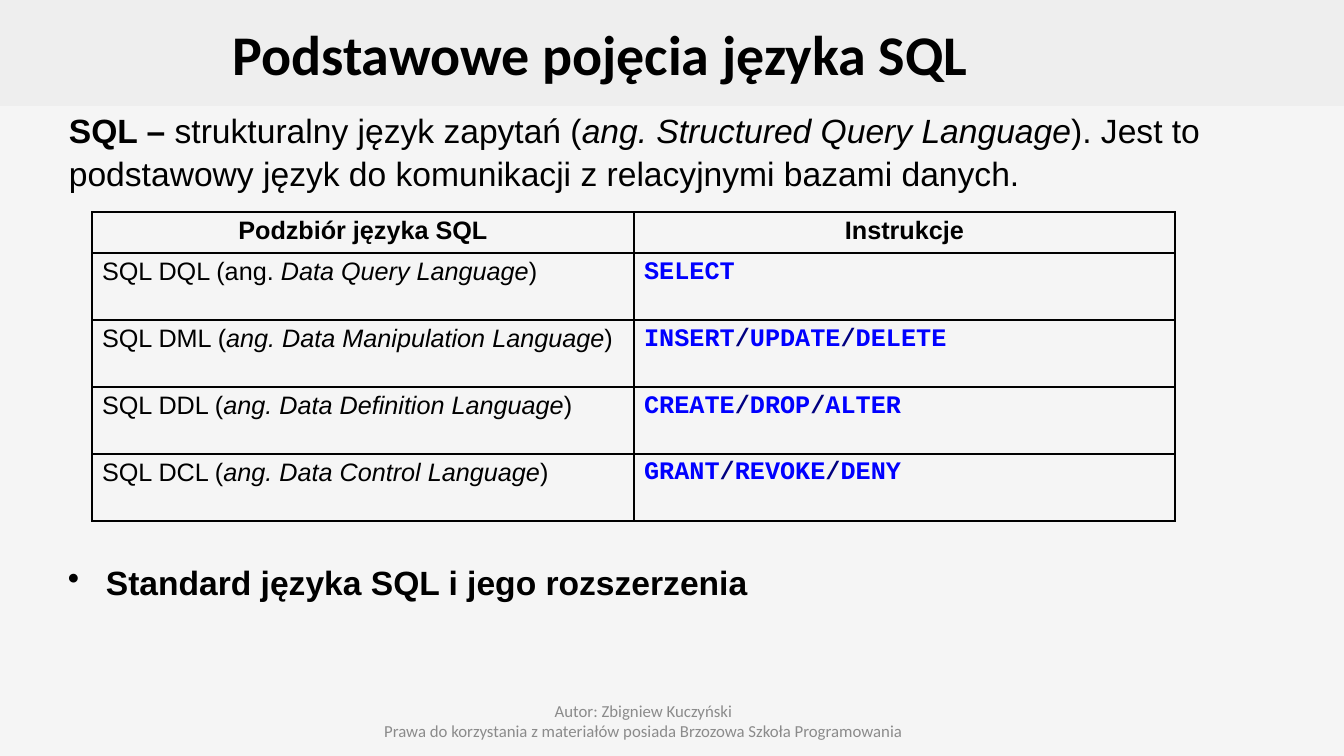
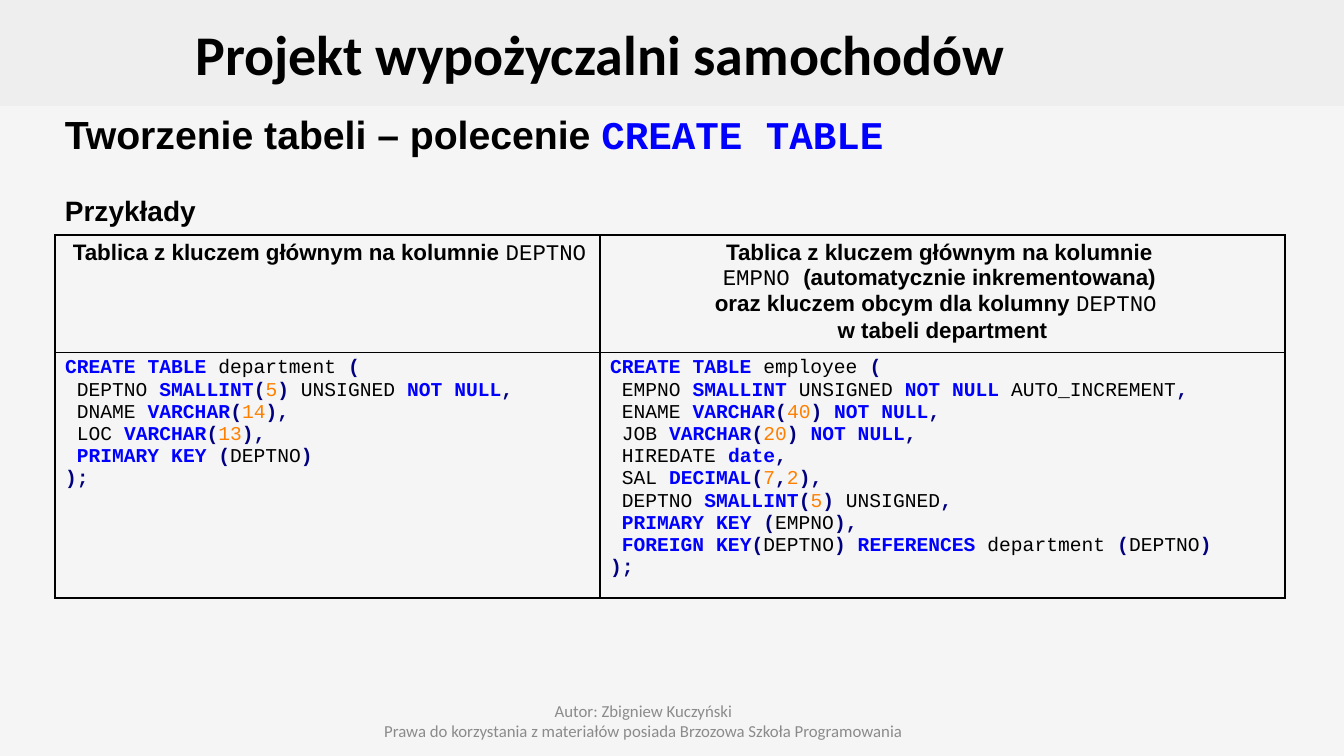
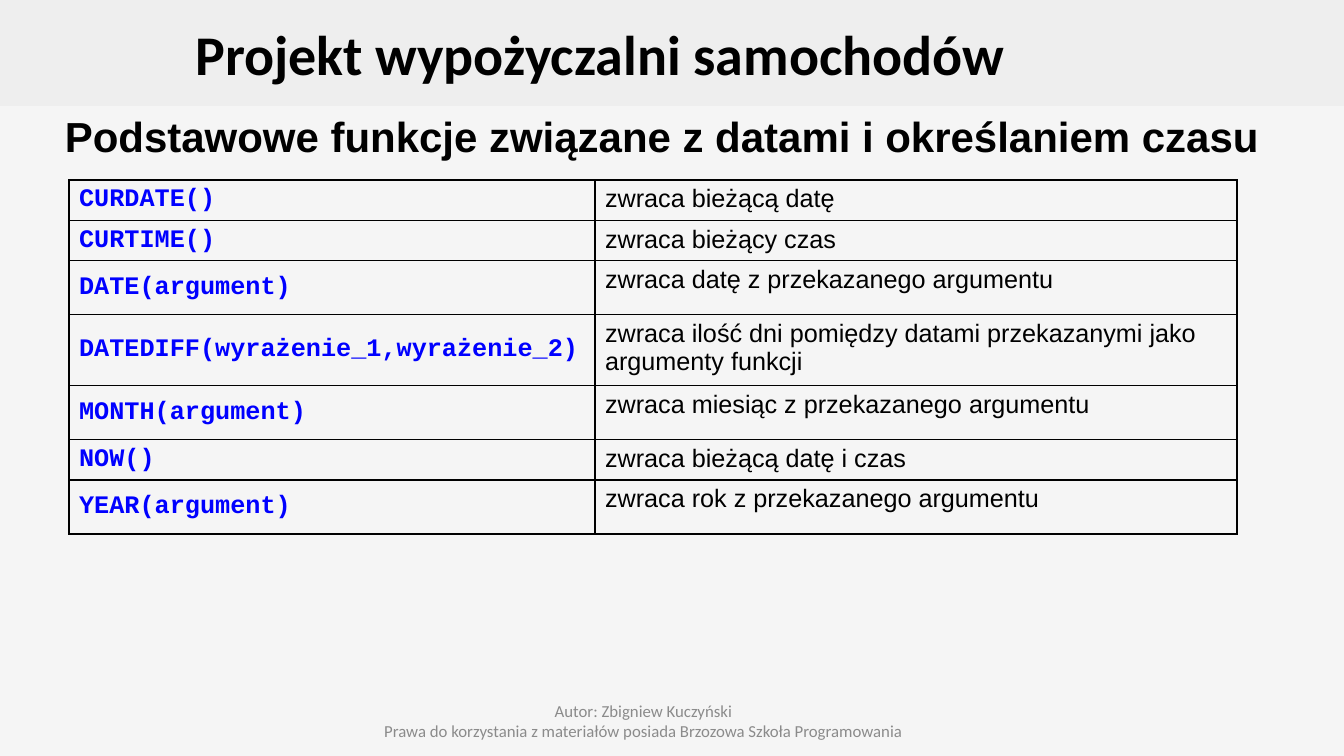
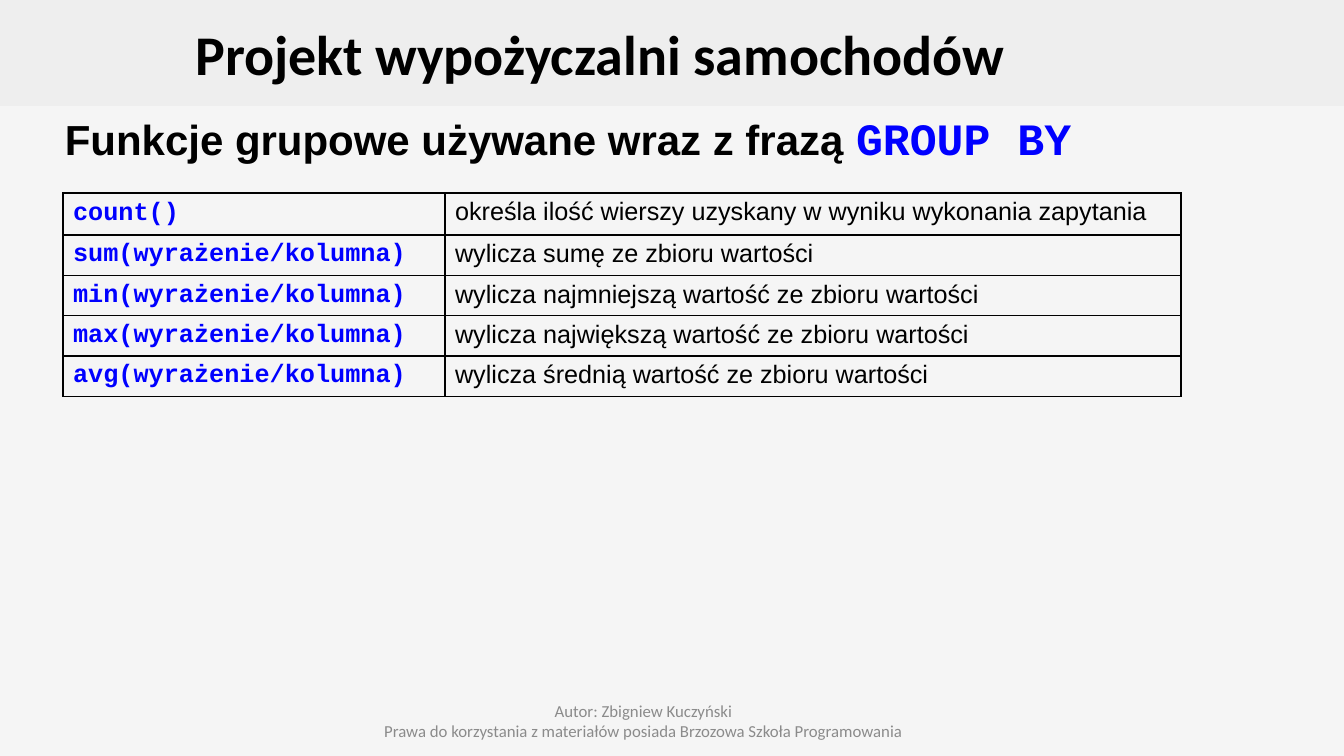
from itertools import groupby

from lxml.etree import SubElement
from pptx import Presentation
from pptx.dml.color import RGBColor
from pptx.enum.shapes import MSO_SHAPE
from pptx.enum.text import MSO_ANCHOR, MSO_AUTO_SIZE, PP_ALIGN
from pptx.oxml.ns import qn
from pptx.util import Emu, Pt

# Shared style
PAGE = RGBColor(0xF5, 0xF5, 0xF5)
BAND = RGBColor(0xEE, 0xEE, 0xEE)
BLACK = RGBColor(0, 0, 0)
GREY = RGBColor(0x8B, 0x8B, 0x8B)
BLUE = RGBColor(0, 0, 0xFF)
NAVY = RGBColor(0, 0, 0x80)
ORANGE = RGBColor(0xFF, 0x80, 0)
CENTER, MIDDLE = PP_ALIGN.CENTER, MSO_ANCHOR.MIDDLE

WIDTH, HEIGHT, BAND_HEIGHT = 1344, 756, 106
BODY_LEFT, BODY_TOP, BODY_WIDTH = 55, 103, 1240
BODY_SPACING = 1.06

MONO = "Courier New"
BOLD = {"bold": True}
ITALIC = {"italic": True}
CODE = {"font": MONO, "color": BLUE, "bold": True}
COLUMN_NAME = {"font": MONO, "bold": False}
HEADING = {"size": 30, "bold": True, "line_spacing": BODY_SPACING}

# Content
FOOTER = ["Autor: Zbigniew Kuczyński",
          "Prawa do korzystania z materiałów posiada Brzozowa Szkoła Programowania"]
SQL_TITLE = "Podstawowe pojęcia języka SQL"
PROJECT_TITLE = "Projekt wypożyczalni samochodów"

SQL_INTRO = [("SQL –", BOLD), " strukturalny język zapytań (",
             ("ang. Structured Query Language", ITALIC),
             "). Jest to podstawowy język do komunikacji z relacyjnymi bazami danych."]
SQL_STANDARD = "Standard języka SQL i jego rozszerzenia"
SUBSET_HEADER = ["Podzbiór języka SQL", "Instrukcje"]
SUBSETS = [
    ("SQL DQL (ang. ", "Data Query Language", "SELECT"),
    ("SQL DML (", "ang. Data Manipulation Language", "INSERT/UPDATE/DELETE"),
    ("SQL DDL (", "ang. Data Definition Language", "CREATE/DROP/ALTER"),
    ("SQL DCL (", "ang. Data Control Language", "GRANT/REVOKE/DENY"),
]

CREATE_HEADING = ["Tworzenie tabeli – polecenie ", ("CREATE TABLE", CODE)]
EXAMPLES = "Przykłady"
DEPARTMENT_HEADER = [["Tablica z kluczem głównym na kolumnie ", ("DEPTNO", COLUMN_NAME)]]
EMPLOYEE_HEADER = [
    "Tablica z kluczem głównym na kolumnie ",
    [("EMPNO ", COLUMN_NAME), "(automatycznie inkrementowana) "],
    ["oraz kluczem obcym dla kolumny ", ("DEPTNO ", COLUMN_NAME)],
    "w tabeli department",
]
DEPARTMENT_SQL = """CREATE TABLE department (
 DEPTNO SMALLINT(5) UNSIGNED NOT NULL,
 DNAME VARCHAR(14),
 LOC VARCHAR(13),
 PRIMARY KEY (DEPTNO)
);"""
EMPLOYEE_SQL = """CREATE TABLE employee (
 EMPNO SMALLINT UNSIGNED NOT NULL AUTO_INCREMENT,
 ENAME VARCHAR(40) NOT NULL,
 JOB VARCHAR(20) NOT NULL,
 HIREDATE date,
 SAL DECIMAL(7,2),
 DEPTNO SMALLINT(5) UNSIGNED,
 PRIMARY KEY (EMPNO),
 FOREIGN KEY(DEPTNO) REFERENCES department (DEPTNO)
);"""
KEYWORDS = set("""SELECT INSERT UPDATE DELETE CREATE DROP ALTER GRANT REVOKE DENY TABLE
    SMALLINT VARCHAR DECIMAL date NOT NULL PRIMARY FOREIGN KEY REFERENCES""".split())

DATE_HEADING = "Podstawowe funkcje związane z datami i określaniem czasu"
DATE_FUNCTIONS = [
    ("CURDATE()", "zwraca bieżącą datę"),
    ("CURTIME()", "zwraca bieżący czas"),
    ("DATE(argument)", "zwraca datę z przekazanego argumentu"),
    ("DATEDIFF(wyrażenie_1,wyrażenie_2)",
     "zwraca ilość dni pomiędzy datami przekazanymi jako argumenty funkcji"),
    ("MONTH(argument)", "zwraca miesiąc z przekazanego argumentu"),
    ("NOW()", "zwraca bieżącą datę i czas"),
    ("YEAR(argument)", "zwraca rok z przekazanego argumentu"),
]

GROUP_HEADING = ["Funkcje grupowe używane wraz z frazą ", ("GROUP BY", {**CODE, "size": 32})]
GROUP_FUNCTIONS = [
    ("count()", "określa ilość wierszy uzyskany w wyniku wykonania zapytania"),
    ("sum(wyrażenie/kolumna)", "wylicza sumę ze zbioru wartości"),
    ("min(wyrażenie/kolumna)", "wylicza najmniejszą wartość ze zbioru wartości"),
    ("max(wyrażenie/kolumna)", "wylicza największą wartość ze zbioru wartości"),
    ("avg(wyrażenie/kolumna)", "wylicza średnią wartość ze zbioru wartości"),
]


def px(length):
    return Emu(round(length * 914400 / 100.8))


def write(frame, paragraphs, align=None, anchor=None, line_spacing=None, space_before=0,
          indent=0, bullet=None, hanging=0, **run_format):
    """Fill a frame; a paragraph is a string or a list of strings and (string, format) runs."""
    frame.word_wrap = True
    if anchor is not None:
        frame.vertical_anchor = anchor
    for number, runs in enumerate(paragraphs):
        paragraph = frame.paragraphs[0] if number == 0 else frame.add_paragraph()
        if indent:
            properties = paragraph._p.get_or_add_pPr()
            properties.set("marL", str(px(indent)))
            properties.set("indent", str(-px(hanging)))
            if bullet:
                SubElement(properties, qn("a:buChar"), char=bullet)
        if align is not None:
            paragraph.alignment = align
        if line_spacing:
            paragraph.line_spacing = line_spacing
        if number and space_before:
            paragraph.space_before = Pt(space_before)
        for part in [runs] if isinstance(runs, str) else runs:
            text, own_format = (part, {}) if isinstance(part, str) else part
            style = {"font": "Arial", "size": 18, "color": BLACK, "bold": False,
                     "italic": False, **run_format, **own_format}
            run = paragraph.add_run()
            run.text = text
            run.font.name = style["font"]
            run.font.size = Pt(style["size"])
            run.font.color.rgb = style["color"]
            run.font.bold = style["bold"]
            run.font.italic = style["italic"]


def highlight(line):
    """Split one line of SQL into coloured runs."""
    def kind(char):
        if char.isspace():
            return "space"
        return "word" if char.isalnum() or char == "_" else "sign"

    runs = []
    for group, chars in groupby(line, kind):
        token = "".join(chars)
        if group == "sign":
            style = {"color": NAVY, "bold": True}
        elif token.isdigit():
            style = {"color": ORANGE}
        else:
            style = CODE if token in KEYWORDS else {}
        runs.append((token, {"font": MONO, **style}))
    return runs


def sql_cell(code, **style):
    return [highlight(line) for line in code.splitlines()], style


def function_rows(functions):
    return [[([name], {**CODE, "anchor": MIDDLE}), ([meaning], {})]
            for name, meaning in functions]


def add_body(slide, paragraphs, top=BODY_TOP, height=92, **style):
    box = slide.shapes.add_textbox(px(BODY_LEFT), px(top), px(BODY_WIDTH), px(height))
    write(box.text_frame, paragraphs, **style)


def add_grid(slide, left, top, widths, heights, rows):
    """Add a table with thin black borders; each cell is (paragraphs, format)."""
    table = slide.shapes.add_table(len(heights), len(widths), px(left), px(top),
                                   px(sum(widths)), px(sum(heights))).table
    table.first_row = table.horz_banding = False
    for column, width in zip(table.columns, widths):
        column.width = px(width)
    for row, height, cells in zip(table.rows, heights, rows):
        row.height = px(height)
        for cell, (paragraphs, style) in zip(row.cells, cells):
            properties = cell._tc.get_or_add_tcPr()
            for side in "LRTB":
                line = SubElement(properties, qn(f"a:ln{side}"), w=str(Pt(1)))
                SubElement(SubElement(line, qn("a:solidFill")), qn("a:srgbClr"), val=str(BLACK))
            cell.fill.background()
            if "anchor" in style:
                cell.vertical_anchor = style["anchor"]
            write(cell.text_frame, paragraphs,
                  **{key: value for key, value in style.items() if key != "anchor"})


def add_page(deck, title):
    """Add a slide with its band, title and footer."""
    slide = deck.slides.add_slide(deck.slide_layouts[5])
    heading = slide.shapes.title
    heading.left, heading.top, heading.width, heading.height = map(px, (0, 0, 1200, BAND_HEIGHT))
    heading.text_frame.auto_size = MSO_AUTO_SIZE.NONE
    write(heading.text_frame, [title], align=CENTER, anchor=MIDDLE,
          font="Calibri", size=40, bold=True)

    band = slide.shapes.add_shape(MSO_SHAPE.RECTANGLE, 0, 0, px(WIDTH), px(BAND_HEIGHT))
    band.shadow.inherit = False
    band.fill.solid()
    band.fill.fore_color.rgb = BAND
    band.line.fill.background()
    heading._element.addprevious(band._element)  # band lies behind the title

    footer = slide.shapes.add_textbox(px(328), px(700), px(631), px(41))
    write(footer.text_frame, FOOTER, align=CENTER, anchor=MIDDLE,
          font="Calibri", size=12, color=GREY)
    return slide


def main():
    deck = Presentation()
    deck.slide_width, deck.slide_height = px(WIDTH), px(HEIGHT)
    background = deck.slide_master.background.fill
    background.solid()
    background.fore_color.rgb = PAGE

    # SQL and its subsets
    slide = add_page(deck, SQL_TITLE)
    add_body(slide, [SQL_INTRO], size=24, indent=4, line_spacing=BODY_SPACING)
    subset_rows = [[([name], {"align": CENTER, "bold": True}) for name in SUBSET_HEADER]]
    subset_rows += [[([[start, (name, ITALIC), ")"]], {}), sql_cell(commands)]
                    for start, name, commands in SUBSETS]
    add_grid(slide, 92, 212, [542, 541], [41] + [67] * len(SUBSETS), subset_rows)
    add_body(slide, [SQL_STANDARD], top=555, height=50, size=24, bold=True,
             indent=41, hanging=38, bullet="•", line_spacing=BODY_SPACING)

    # Creating tables
    slide = add_page(deck, PROJECT_TITLE)
    add_body(slide, [CREATE_HEADING, [(EXAMPLES, {"size": 20})]], height=125,
             **{**HEADING, "size": 28}, space_before=24)
    header_style = {"align": CENTER, "size": 16, "bold": True}
    add_grid(slide, 55, 235, [545, 685], [113, 232], [
        [(DEPARTMENT_HEADER, {**header_style, "indent": 4}), (EMPLOYEE_HEADER, header_style)],
        [sql_cell(DEPARTMENT_SQL, size=14), sql_cell(EMPLOYEE_SQL, size=14)],
    ])

    # Date functions
    slide = add_page(deck, PROJECT_TITLE)
    add_body(slide, [DATE_HEADING], **HEADING)
    add_grid(slide, 69, 180, [526, 642], [40, 40, 54, 71, 54, 40, 54],
             function_rows(DATE_FUNCTIONS))

    # Group functions
    slide = add_page(deck, PROJECT_TITLE)
    add_body(slide, [GROUP_HEADING], **HEADING)
    add_grid(slide, 63, 193, [382, 736], [42, 40, 40, 40, 40], function_rows(GROUP_FUNCTIONS))

    deck.save("out.pptx")


if __name__ == "__main__":
    main()
